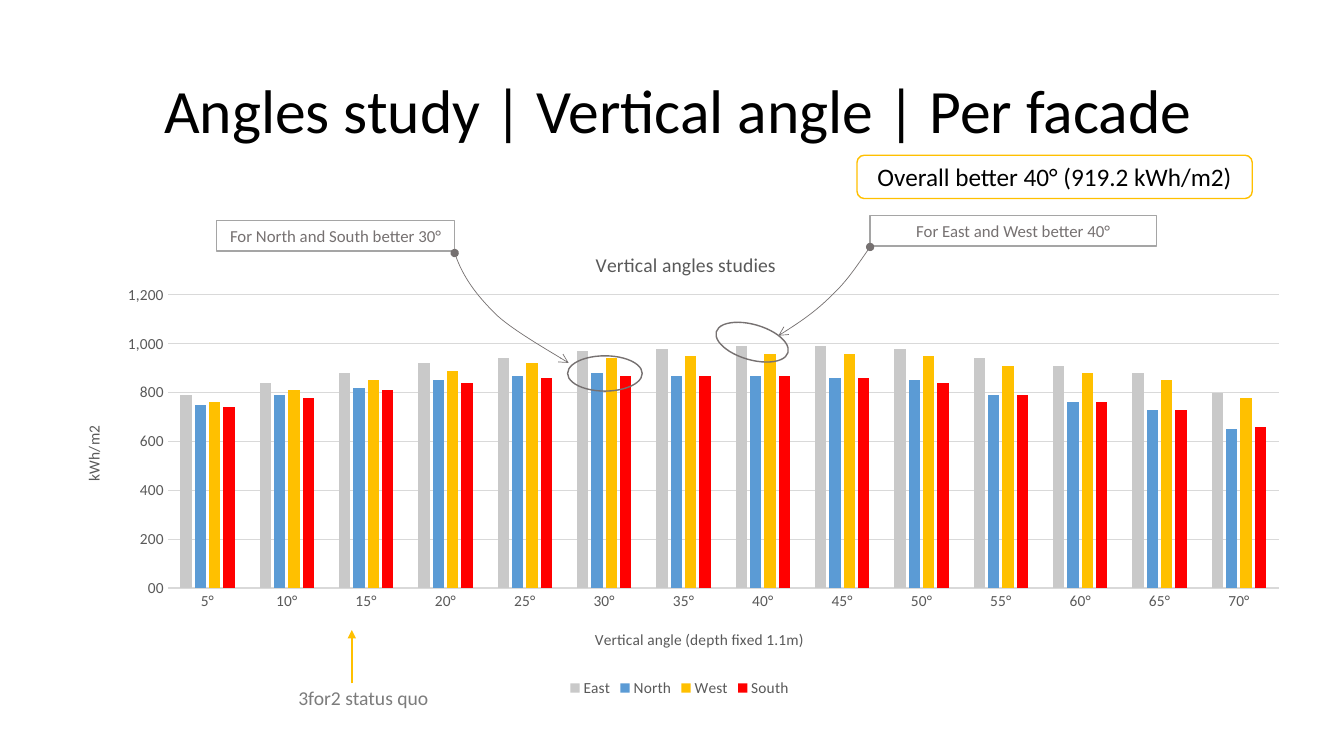
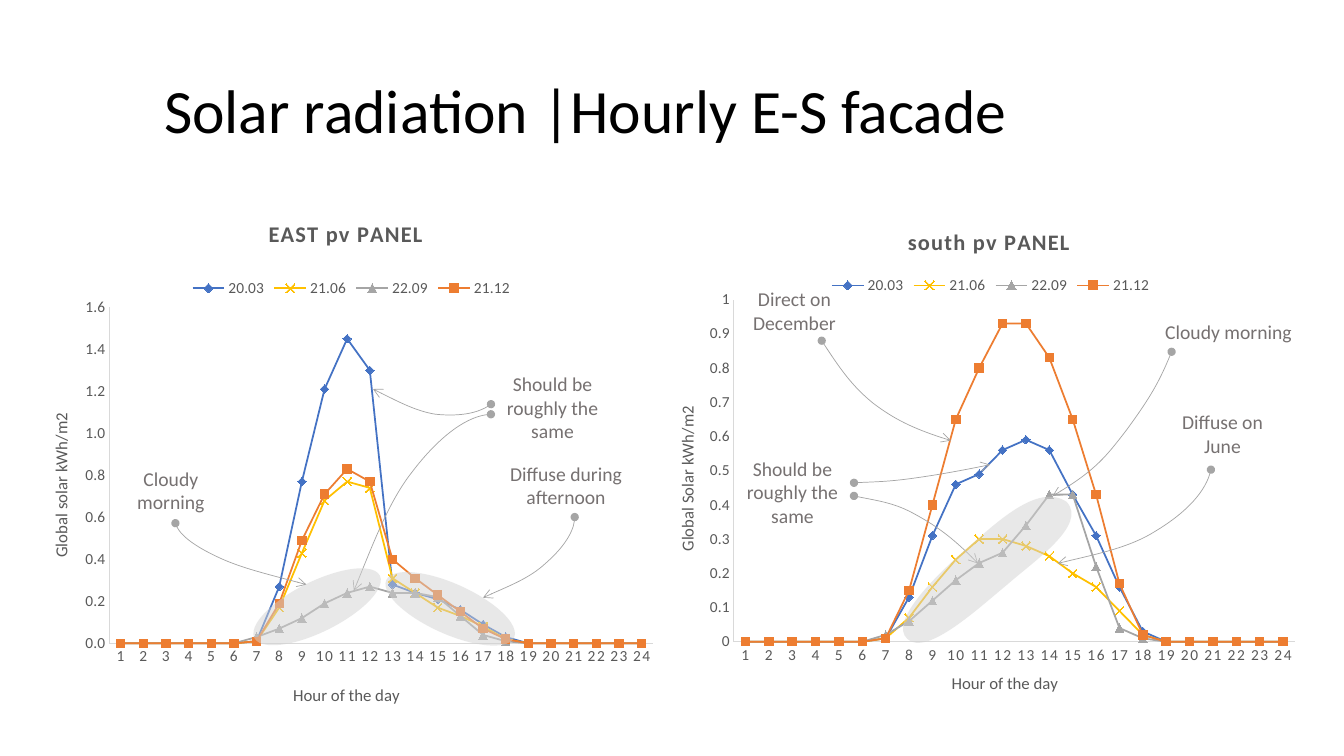
from lxml.etree import SubElement
from pptx import Presentation
from pptx.chart.data import CategoryChartData
from pptx.dml.color import RGBColor
from pptx.enum.chart import XL_CHART_TYPE, XL_LEGEND_POSITION, XL_MARKER_STYLE, XL_TICK_MARK
from pptx.enum.shapes import MSO_CONNECTOR, MSO_SHAPE
from pptx.enum.text import MSO_ANCHOR, PP_ALIGN
from pptx.oxml.ns import qn
from pptx.util import Inches, Pt

FONT = "Calibri"
BLACK, WHITE, INK, GRID = "000000", "FFFFFF", "595959", "D9D9D9"
NOTE, GRAY, GOLD, HALO = "767171", "A5A5A5", "FFC000", "D2D2D2"

ANGLE_CHART = dict(
    kind=XL_CHART_TYPE.COLUMN_CLUSTERED, box=(0.55, 2.27, 12.38, 4.69),
    cats=[f"{a}°" for a in range(5, 75, 5)],
    title="Vertical angles studies", title_fmt=dict(size=14), title_at=(0.43, 0.04),
    x_title="Vertical angle (depth fixed 1.1m)", x_at=(0.43, 0.84),
    y_title="kWh/m2", y_at=(0.02, 0.41), axis_size=11,
    scale=(1200, 200, "#,#00"), plot=(0.09, 0.14, 0.89, 0.62),
    series=[
        ("East", "C9C9C9", [790, 840, 880, 920, 940, 970, 980, 990, 990, 980, 940, 910, 880, 800]),
        ("North", "5B9BD5", [750, 790, 820, 850, 870, 880, 870, 870, 860, 850, 790, 760, 730, 650]),
        ("West", GOLD, [760, 810, 850, 890, 920, 940, 950, 960, 960, 950, 910, 880, 850, 780]),
        ("South", "FF0000", [740, 780, 810, 840, 860, 870, 870, 870, 860, 840, 790, 760, 730, 660]),
    ])

DAYS = [("20.03", "4472C4", XL_MARKER_STYLE.DIAMOND), ("21.06", GOLD, XL_MARKER_STYLE.X),
        ("22.09", GRAY, XL_MARKER_STYLE.TRIANGLE), ("21.12", "ED7D31", XL_MARKER_STYLE.SQUARE)]
MARKERS = {name: marker for name, _, marker in DAYS}
EAST = [
    [0.01, 0.27, 0.77, 1.21, 1.45, 1.3, 0.28, 0.24, 0.21, 0.16, 0.09, 0.03],
    [0.01, 0.17, 0.43, 0.68, 0.77, 0.74, 0.31, 0.24, 0.17, 0.13, 0.08, 0.02],
    [0.03, 0.07, 0.12, 0.19, 0.24, 0.27, 0.24, 0.24, 0.22, 0.13, 0.04, 0.01],
    [0.01, 0.19, 0.49, 0.71, 0.83, 0.77, 0.4, 0.31, 0.23, 0.15, 0.07, 0.02],
]
SOUTH = [
    [0.01, 0.13, 0.31, 0.46, 0.49, 0.56, 0.59, 0.56, 0.43, 0.31, 0.16, 0.03],
    [0.01, 0.07, 0.16, 0.24, 0.3, 0.3, 0.28, 0.25, 0.2, 0.16, 0.09, 0.02],
    [0.02, 0.06, 0.12, 0.18, 0.23, 0.26, 0.34, 0.43, 0.43, 0.22, 0.04, 0.01],
    [0.01, 0.15, 0.4, 0.65, 0.8, 0.93, 0.93, 0.83, 0.65, 0.43, 0.17, 0.02],
]
HOURLY = dict(kind=XL_CHART_TYPE.LINE_MARKERS, cats=[str(h) for h in range(1, 25)],
              title_fmt=dict(size=16, bold=True, spc=100), x_title="Hour of the day", axis_size=12)
EAST_CHART = dict(
    HOURLY, box=(0.27, 2.08, 6.36, 4.97), title="EAST pv PANEL", title_at=(0.37, 0.01),
    x_at=(0.41, 0.94), y_title="Global solar kWh/m2", y_at=(0.03, 0.4), legend_at=(0.25, 0.13),
    scale=(1.6, 0.2, "0.0"), plot=(0.128, 0.195, 0.848, 0.671), daylight=EAST)
SOUTH_CHART = dict(
    HOURLY, box=(6.61, 2.02, 6.36, 4.91), title="south pv PANEL", title_at=(0.37, 0.04),
    x_at=(0.44, 0.95), y_title="Global Solar kWh/m2", y_at=(0.01, 0.41), legend_at=(0.25, 0.14),
    scale=(1, 0.1, "General"), plot=(0.105, 0.196, 0.875, 0.699), daylight=SOUTH)

ANGLE_CURVES = [
    [(7.72, 3.33), (7.9, 3.22), (8.1, 3.08), (8.25, 2.93), (8.4, 2.79), (8.51, 2.62), (8.63, 2.45)],
    [(5.64, 3.6), (5.46, 3.49), (5.07, 3.26), (4.92, 3.12), (4.77, 2.97), (4.6, 2.78), (4.51, 2.51)],
]
ANGLE_NOTES = [("For East and West better 40°", (8.63, 2.14, 2.84, 0.3)),
               ("For North and South better 30°", (2.15, 2.19, 2.36, 0.3))]
ANGLE_RINGS = [((7.09, 3.22, 0.74, 0.35), 16.2), ((5.63, 3.53, 0.74, 0.35), 0)]

HOUR_CURVES = [
    [(9.43, 4.37), (9.1, 4.27), (8.87, 4.16), (8.66, 4), (8.45, 3.83), (8.32, 3.64), (8.15, 3.38)],
    [(10.44, 4.92), (10.85, 4.68), (10.97, 4.53), (11.17, 4.27), (11.42, 3.93), (11.51, 3.76), (11.62, 3.49)],
    [(10.49, 5.59), (10.82, 5.51), (11.21, 5.43), (11.46, 5.27), (11.71, 5.12), (11.96, 4.9), (12.01, 4.66)],
    [(4.79, 5.93), (5.01, 5.83), (5.26, 5.73), (5.41, 5.59), (5.56, 5.46), (5.7, 5.28), (5.7, 5.13)],
    [(3.04, 5.8), (2.75, 5.72), (2.41, 5.64), (2.19, 5.54), (1.97, 5.44), (1.77, 5.31), (1.74, 5.19)],
    [(9.82, 4.61), (9.48, 4.68), (9.24, 4.72), (9.02, 4.75), (8.79, 4.78), (8.66, 4.78), (8.47, 4.79)],
    [(9.7, 5.59), (9.48, 5.36), (9.29, 5.22), (9.09, 5.11), (8.88, 4.99), (8.71, 4.97), (8.47, 4.92)],
    [(3.51, 5.86), (3.68, 5.45), (3.86, 4.97), (4.09, 4.68), (4.31, 4.39), (4.61, 4.12), (4.87, 4.11)],
    [(3.7, 3.86), (3.9, 3.96), (4.13, 4.08), (4.32, 4.11), (4.52, 4.13), (4.74, 4.11), (4.87, 4.01)],
]
SOUTH_HALO = [(9, 6.34), (8.8, 6.16), (9.33, 5.67), (9.59, 5.44), (9.86, 5.21), (10.29, 4.78), (10.58, 4.98),
              (10.79, 5.21), (10.25, 5.57), (9.99, 5.8), (9.72, 6.02), (9.19, 6.52), (9, 6.34)]
EAST_HALOS = [((3.77, 5.79, 1.39, 0.5), 24.2), ((2.45, 5.77, 1.39, 0.5), 333.6)]
HOUR_NOTES = [
    ("Direct on December", (7.15, 2.8, 1.46, 0.57)),
    ("Diffuse on June", (11.62, 4.02, 1.01, 0.57)),
    ("Cloudy morning", (11.42, 3.12, 1.53, 0.34)),
    ("Diffuse during afternoon", (4.7, 4.53, 1.83, 0.57)),
    ("Cloudy morning", (0.98, 4.58, 1.43, 0.57)),
    ("Should be roughly the same", (7.15, 4.48, 1.42, 0.81)),
    ("Should be roughly the same", (4.77, 3.64, 1.42, 0.81)),
]


def rgb(color):
    return RGBColor.from_string(color)


def style_font(font, size, color=INK, bold=False):
    font.name, font.size, font.bold = FONT, Pt(size), bold
    font.color.rgb = rgb(color)


def put(tf, text, size, color=INK, bold=False, align=None, spacing=None, spc=None):
    p = tf.paragraphs[0]
    if align is not None:
        p.alignment = align
    if spacing:
        p.line_spacing = spacing
    r = p.add_run()
    r.text = text
    style_font(r.font, size, color, bold)
    if spc:
        r.font._element.set("spc", str(spc))


def set_line(line, color, width):
    line.color.rgb = rgb(color)
    line.width = Pt(width)


def add_ends(sp, **ends):
    ln = sp.line._get_or_add_ln()
    for name, kind in ends.items():
        SubElement(ln, qn(f"a:{name}End"), type=kind)


def set_fill(sp, fill, alpha=None):
    if not fill:
        sp.fill.background()
        return
    sp.fill.solid()
    sp.fill.fore_color.rgb = rgb(fill)
    if alpha:
        clr = sp._element.spPr.find(qn("a:solidFill"))[0]
        SubElement(clr, qn("a:alpha"), val=str(alpha * 1000))


def add_box(s, text, box, anchor=MSO_ANCHOR.TOP, **fmt):
    tf = s.shapes.add_textbox(*map(Inches, box)).text_frame
    tf.word_wrap = True
    tf.vertical_anchor = anchor
    put(tf, text, **fmt)


def add_form(s, kind, box, fill=None, line=None, rotation=0, alpha=None):
    sp = s.shapes.add_shape(kind, *map(Inches, box))
    sp.shadow.inherit = False
    sp.rotation = rotation
    set_fill(sp, fill, alpha)
    if line:
        set_line(sp.line, line, 1)
    else:
        sp.line.fill.background()
    return sp


def add_label(s, kind, text, box, line, size, color):
    sp = add_form(s, kind, box, WHITE, line)
    tf = sp.text_frame
    tf.word_wrap = True
    tf.vertical_anchor = MSO_ANCHOR.MIDDLE
    put(tf, text, size, color, align=PP_ALIGN.CENTER)


def add_curve(s, points, closed=False):
    """Draw cubic segments through a start point and triples of control points."""
    start, *rest = [(Inches(x), Inches(y)) for x, y in points]
    builder = s.shapes.build_freeform(*start)
    builder.add_line_segments(rest, close=closed)
    sp = builder.convert_to_shape()
    steps = sp._element.xpath(".//a:lnTo")[:len(rest)]
    for i in range(0, len(rest), 3):
        cubic = steps[i].makeelement(qn("a:cubicBezTo"))
        steps[i].addprevious(cubic)
        for step in steps[i:i + 3]:
            cubic.append(step[0])
            step.getparent().remove(step)
    sp.shadow.inherit = False
    return sp


def add_pointer(s, points, color):
    sp = add_curve(s, points)
    set_fill(sp, None)
    set_line(sp.line, color, 0.5)
    add_ends(sp, head="arrow", tail="oval")


def place(node, values, target=None):
    for old in node.findall(qn("c:layout")):
        node.remove(old)
    layout = node.makeelement(qn("c:layout"))
    overlay = node.find(qn("c:overlay"))
    if overlay is None:
        node.insert(0, layout)
    else:
        overlay.addprevious(layout)
    manual = SubElement(layout, qn("c:manualLayout"))
    if target:
        SubElement(manual, qn("c:layoutTarget"), val=target)
    for mode in ("xMode", "yMode"):
        SubElement(manual, qn(f"c:{mode}"), val="edge")
    for name, value in zip("xywh", values):
        SubElement(manual, qn(f"c:{name}"), val=str(value))


def style_axis(axis, title, at, size):
    axis.major_tick_mark = axis.minor_tick_mark = XL_TICK_MARK.NONE
    axis.has_major_gridlines = False
    style_font(axis.tick_labels.font, 11)
    set_line(axis.format.line, GRID, 0.75)
    put(axis.axis_title.text_frame, title, size)
    place(axis.axis_title._element, at)


def add_graph(s, d):
    bars = d["kind"] == XL_CHART_TYPE.COLUMN_CLUSTERED
    night = [0] * 6
    series = d.get("series") or [(name, color, night + vals + night)
                                 for (name, color, _), vals in zip(DAYS, d["daylight"])]
    data = CategoryChartData()
    data.categories = d["cats"]
    for name, _, vals in series:
        data.add_series(name, vals)
    chart = s.shapes.add_chart(d["kind"], *map(Inches, d["box"]), data).chart
    style_font(chart.font, 10, BLACK)
    put(chart.chart_title.text_frame, d["title"], **d["title_fmt"])
    place(chart.chart_title._element, d["title_at"])

    cat, val = chart.category_axis, chart.value_axis
    style_axis(cat, d["x_title"], d["x_at"], d["axis_size"])
    style_axis(val, d["y_title"], d["y_at"], d["axis_size"])
    val.axis_title._element.xpath(".//a:bodyPr")[0].set("rot", "-5400000")
    val.minimum_scale = 0
    val.maximum_scale, val.major_unit, val.tick_labels.number_format = d["scale"]
    val.tick_labels.number_format_is_linked = False

    chart.has_legend = True
    legend = chart.legend
    legend.position = XL_LEGEND_POSITION.BOTTOM if bars else XL_LEGEND_POSITION.TOP
    legend.include_in_layout = False
    style_font(legend.font, 11)
    if "legend_at" in d:
        place(legend._element, d["legend_at"])
    place(chart._chartSpace.xpath(".//c:plotArea")[0], d["plot"], "inner")

    plot = chart.plots[0]
    plot.vary_by_categories = False
    if bars:
        plot.gap_width, plot.overlap = 219, -27
        val.format.line.fill.background()
        val.has_major_gridlines = True
        set_line(val.major_gridlines.format.line, GRID, 0.75)
    else:
        cat._element.xpath("./c:txPr//a:defRPr")[0].set("spc", "100")
    for ser, (name, color, _) in zip(plot.series, series):
        if bars:
            set_fill(ser.format, color)
            continue
        ser.smooth = False
        set_line(ser.format.line, color, 1.25)
        marker = ser.marker
        marker.style, marker.size = MARKERS[name], 6
        set_fill(marker.format, None if marker.style == XL_MARKER_STYLE.X else color)
        set_line(marker.format.line, color, 0.75)


def add_slide(prs, title, width, charts):
    s = prs.slides.add_slide(prs.slide_layouts[6])
    for chart in charts:
        add_graph(s, chart)
    add_box(s, title, (1.53, 0.4, width, 1.45), MSO_ANCHOR.MIDDLE, size=44, color=BLACK, spacing=0.9)
    return s


def angle_slide(prs):
    s = add_slide(prs, "Angles study | Vertical angle | Per facade", 11.3, [ANGLE_CHART])
    for box, turn in ANGLE_RINGS:
        add_form(s, MSO_SHAPE.OVAL, box, line=NOTE, rotation=turn)
    for text, box in ANGLE_NOTES:
        add_label(s, MSO_SHAPE.RECTANGLE, text, box, GRAY, 12, NOTE)
    for points in ANGLE_CURVES:
        add_pointer(s, points, NOTE)
    add_label(s, MSO_SHAPE.ROUNDED_RECTANGLE, "Overall better 40° (919.2 kWh/m2)",
              (8.5, 1.54, 3.92, 0.43), GOLD, 18, BLACK)
    arrow = s.shapes.add_connector(MSO_CONNECTOR.STRAIGHT, *map(Inches, (3.49, 6.78, 3.49, 6.25)))
    set_line(arrow.line, GOLD, 1)
    add_ends(arrow, tail="triangle")
    SubElement(arrow._element.spPr, qn("a:effectLst"))
    add_box(s, "3for2 status quo", (2.86, 6.76, 2.15, 0.34), size=14, color="7C7C7C")


def hourly_slide(prs):
    s = add_slide(prs, "Solar radiation |Hourly E-S facade", 10.86, [EAST_CHART, SOUTH_CHART])
    for points in HOUR_CURVES:
        add_pointer(s, points, GRAY)
    halo = add_curve(s, SOUTH_HALO, closed=True)
    set_fill(halo, HALO, 50)
    halo.line.fill.background()
    for box, turn in EAST_HALOS:
        add_form(s, MSO_SHAPE.OVAL, box, HALO, rotation=turn, alpha=50)
    for text, box in HOUR_NOTES:
        add_box(s, text, box, size=14, color=NOTE, align=PP_ALIGN.CENTER)


def main():
    prs = Presentation()
    prs.slide_width, prs.slide_height = Inches(13.33), Inches(7.5)
    angle_slide(prs)
    hourly_slide(prs)
    prs.save("out.pptx")


if __name__ == "__main__":
    main()
